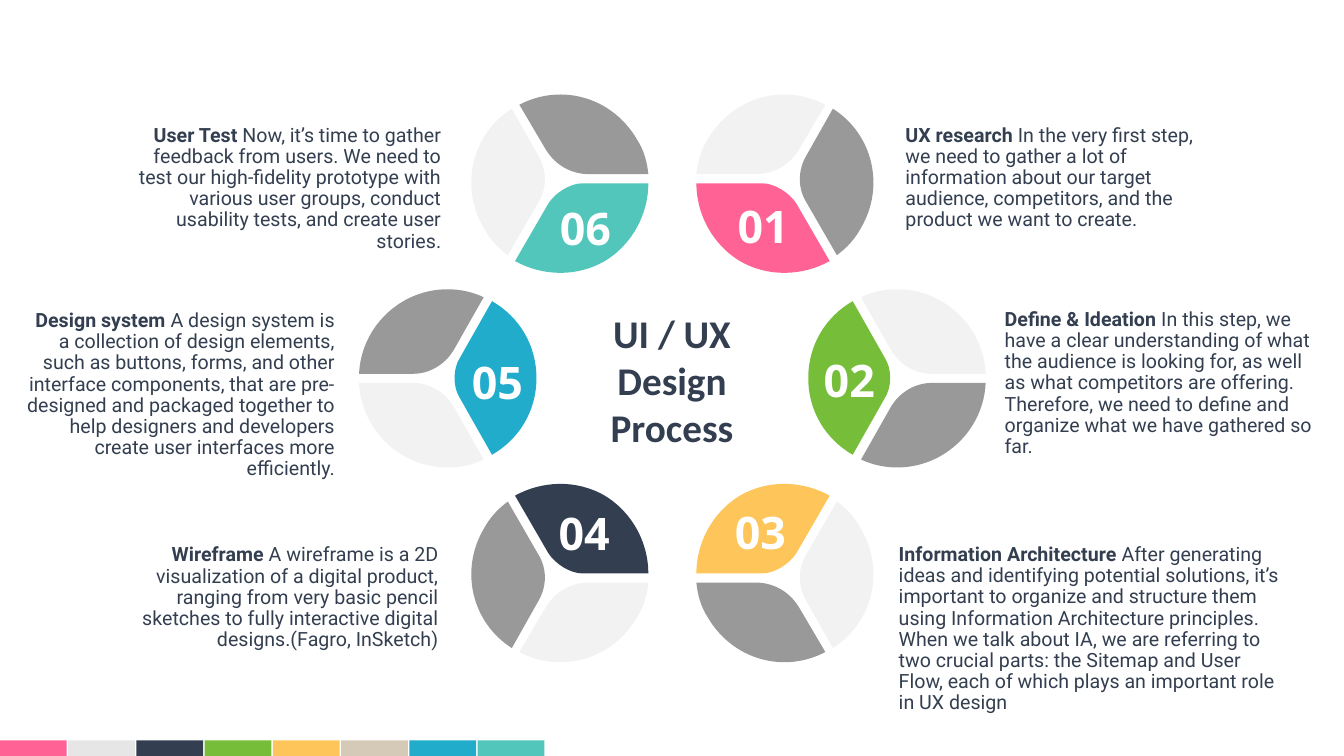
from lxml import etree
from pptx import Presentation
from pptx.dml.color import RGBColor
from pptx.enum import shapes, text
from pptx.oxml.ns import qn
from pptx.util import Cm, Pt

PINK = RGBColor(0xFF, 0x62, 0x95)
GREEN = RGBColor(0x76, 0xBE, 0x39)
YELLOW = RGBColor(0xFE, 0xC5, 0x5A)
NAVY = RGBColor(0x33, 0x3F, 0x50)
BLUE = RGBColor(0x21, 0xAC, 0xCC)
TEAL = RGBColor(0x52, 0xC6, 0xBB)
SAND = RGBColor(0xD4, 0xCA, 0xB7)
SILVER = RGBColor(0xE7, 0xE6, 0xE6)
PALE = RGBColor(0xF2, 0xF2, 0xF2)
GREY = RGBColor(0x99, 0x99, 0x99)
WHITE = RGBColor(0xFF, 0xFF, 0xFF)

MIRROR_WIDTH, MIRROR_HEIGHT = 33.89, 19.07

CORNER_NUMBERED = [
    [(13.82, 5.13)], [(12.98, 6.58)],
    [(13.67, 6.96), (14.53, 6.99), (15.24, 6.58)],
    [(15.95, 6.15), (16.34, 5.38), (16.34, 4.62)],
    [(14.68, 4.62)], [(14.38, 4.62), (14.0, 4.85), (13.82, 5.13)],
]
CORNER_SIDE = [
    [(13.56, 5.11)], [(13.79, 4.75), (13.79, 4.29), (13.56, 3.91)],
    [(12.9, 2.74)], [(11.89, 3.38), (11.58, 4.7), (12.19, 5.74)],
    [(12.34, 6.02), (12.55, 6.25), (12.8, 6.43)],
]
CORNER_CAP = [
    [(13.75, 3.76)], [(14.0, 4.17), (14.4, 4.39), (14.86, 4.39)],
    [(16.34, 4.39)], [(16.31, 4.09), (16.23, 3.78), (16.05, 3.51)],
    [(15.44, 2.46), (14.15, 2.08), (13.09, 2.64)],
]
MIDDLE_NUMBERED = [
    [(11.59, 10.03)], [(12.4, 11.46)],
    [(13.08, 11.07), (13.52, 10.36), (13.52, 9.53)],
    [(13.52, 8.69), (13.08, 7.98), (12.4, 7.59)],
    [(11.59, 9.02)], [(11.41, 9.3), (11.41, 9.75), (11.59, 10.03)],
]
MIDDLE_LOWER = [
    [(11.43, 10.24)], [(11.23, 9.91), (10.85, 9.65), (10.41, 9.65)],
    [(9.05, 9.65)], [(9.1, 10.82), (10.08, 11.78), (11.28, 11.78)],
    [(11.61, 11.78), (11.91, 11.71), (12.19, 11.58)],
]
MIDDLE_UPPER = [[(x, MIRROR_HEIGHT - y) for x, y in segment] for segment in MIDDLE_LOWER]
CORNER = [CORNER_NUMBERED, CORNER_SIDE, CORNER_CAP]
MIDDLE = [MIDDLE_NUMBERED, MIDDLE_LOWER, MIDDLE_UPPER]

STEPS = [
    ("06", CORNER, False, False, (TEAL, PALE, GREY), (14.11, 5.05), (3.04, 3.03, 8.33),
     "User Test ", "Now, it’s time to gather feedback from users. We need to test our "
     "high-fidelity prototype with various user groups, conduct usability tests, and "
     "create user stories."),
    ("01", CORNER, True, False, (PINK, GREY, PALE), (18.59, 5), (22.57, 3.03, 8.33),
     "UX research ", "In the very first step, we need to gather a lot of information about "
     "our target audience, competitors, and the product we want to create."),
    ("02", MIDDLE, True, False, (GREEN, GREY, PALE), (20.76, 8.89), (25.07, 7.67, 8.33),
     "Define & Ideation ", "In this step, we have a clear understanding of what the audience "
     "is looking for, as well as what competitors are offering. Therefore, we need to define "
     "and organize what we have gathered so far."),
    ("03", CORNER, True, True, (YELLOW, PALE, GREY), (18.52, 12.73), (22.4, 13.6, 10.26),
     "Information Architecture", " After generating ideas and identifying potential solutions, "
     "it’s important to organize and structure them using Information Architecture principles. "
     "When we talk about IA, we are referring to two crucial parts: the Sitemap and User Flow, "
     "each of which plays an important role in UX design"),
    ("04", CORNER, False, True, (NAVY, GREY, PALE), (14.08, 12.75), (2.97, 13.61, 8.33),
     "Wireframe ", "A wireframe is a 2D visualization of a digital product, ranging from very "
     "basic pencil sketches to fully interactive digital designs.(Fagro, InSketch)"),
    ("05", MIDDLE, False, False, (BLUE, PALE, GREY), (11.89, 8.93), (0.36, 7.7, 8.33),
     "Design system ", "A design system is a collection of design elements, such as buttons, "
     "forms, and other interface components, that are pre-designed and packaged together to "
     "help designers and developers create user interfaces more efficiently."),
]


def add_petal(page, segments, on_right, flipped, color):
    points = [(Cm(MIRROR_WIDTH - x if on_right else x), Cm(MIRROR_HEIGHT - y if flipped else y))
              for segment in segments for x, y in segment]
    builder = page.shapes.build_freeform(*points[0])
    builder.add_line_segments(points[1:], close=True)
    petal = builder.convert_to_shape()
    lines = iter(petal.element.findall(".//" + qn("a:lnTo")))
    for segment in segments[1:]:
        pieces = [next(lines) for corner in segment]
        if len(pieces) == 3:
            curve = etree.Element(qn("a:cubicBezTo"))
            pieces[0].addprevious(curve)
            for piece in pieces:
                curve.append(piece[0])
                piece.getparent().remove(piece)
    petal.shadow.inherit = False
    petal.fill.solid()
    petal.fill.fore_color.rgb = color
    petal.line.fill.background()


def style(span, size, font, color, bold):
    span.font.size = Pt(size)
    span.font.name = font
    span.font.color.rgb = color
    span.font.bold = bold


deck = Presentation()
deck.slide_width, deck.slide_height = Cm(33.87), Cm(19.05)
page = deck.slides.add_slide(deck.slide_layouts[5])

title = page.shapes.title
title.left, title.top, title.width, title.height = Cm(14.46), Cm(7.67), Cm(4.95), Cm(3.71)
frame = title.text_frame
frame.text = "UI / UX Design Process"
frame.word_wrap = True
frame.auto_size = text.MSO_AUTO_SIZE.NONE
frame.vertical_anchor = text.MSO_ANCHOR.TOP
frame.paragraphs[0].alignment = text.PP_ALIGN.CENTER
style(frame.paragraphs[0].runs[0], 28, "Calibri", NAVY, True)

for index, color in enumerate([PINK, SILVER, NAVY, GREEN, YELLOW, SAND, BLUE, TEAL]):
    swatch = page.shapes.add_shape(shapes.MSO_SHAPE.RECTANGLE,
                                   Cm(1.72 * index), Cm(18.66), Cm(1.68), Cm(0.39))
    swatch.shadow.inherit = False
    swatch.fill.solid()
    swatch.fill.fore_color.rgb = color
    swatch.line.fill.background()

for number, wheel, on_right, flipped, colors, number_at, body_at, heading, body in STEPS:
    for segments, color in zip(wheel, colors):
        add_petal(page, segments, on_right, flipped, color)

    box = page.shapes.add_textbox(Cm(number_at[0]), Cm(number_at[1]), Cm(1.85), Cm(1.75))
    frame = box.text_frame
    frame.margin_left = frame.margin_right = frame.margin_top = frame.margin_bottom = 0
    frame.word_wrap = True
    frame.text = number
    style(frame.paragraphs[0].runs[0], 32, "Open Sans", WHITE, True)

    left, top, width = body_at
    box = page.shapes.add_textbox(Cm(left), Cm(top), Cm(width), Cm(2.08))
    box.text_frame.word_wrap = True
    para = box.text_frame.paragraphs[0]
    para.alignment = text.PP_ALIGN.LEFT if on_right else text.PP_ALIGN.RIGHT
    para.line_spacing = 0.9
    for words, bold in ((heading, True), (body, False)):
        span = para.add_run()
        span.text = words
        style(span, 14, "Roboto", NAVY, bold)

deck.save("out.pptx")
